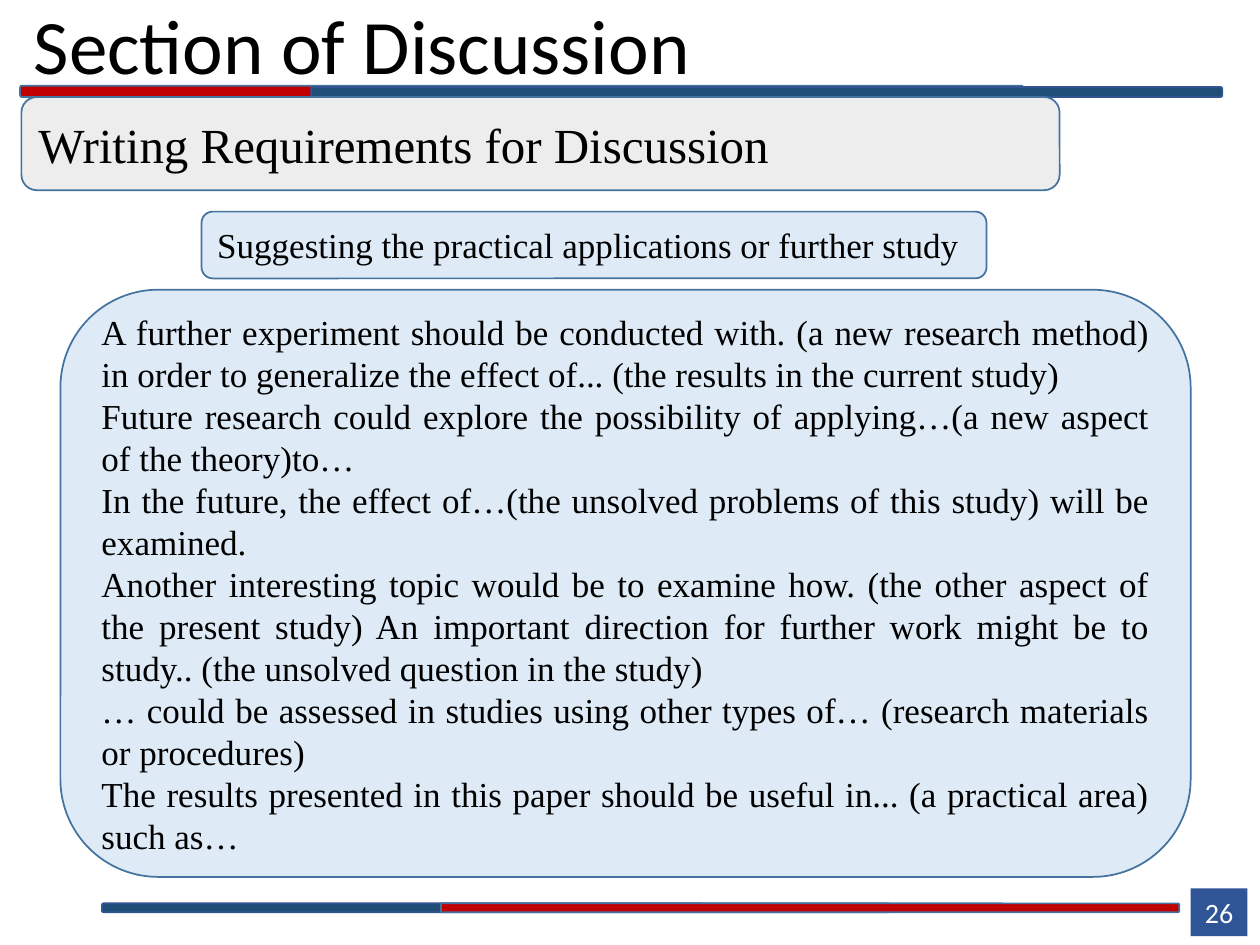
"""Build the slide on writing requirements for the Discussion section."""
from pptx import Presentation
from pptx.dml.color import RGBColor
from pptx.enum.shapes import MSO_SHAPE
from pptx.enum.text import MSO_ANCHOR, PP_ALIGN
from pptx.util import Inches, Pt

RECT, ROUNDED = MSO_SHAPE.RECTANGLE, MSO_SHAPE.ROUNDED_RECTANGLE
LEFT, CENTER, JUSTIFY = PP_ALIGN.LEFT, PP_ALIGN.CENTER, PP_ALIGN.JUSTIFY
MIDDLE = MSO_ANCHOR.MIDDLE
BLACK = RGBColor(0x00, 0x00, 0x00)
WHITE = RGBColor(0xFF, 0xFF, 0xFF)
RED = RGBColor(0xC0, 0x00, 0x00)
NAVY = RGBColor(0x1F, 0x4E, 0x79)
BADGE_BLUE = RGBColor(0x2F, 0x55, 0x97)
EDGE_BLUE = RGBColor(0x43, 0x73, 0x9E)
BAR_EDGE = RGBColor(0x32, 0x54, 0x91)
PALE_GRAY = RGBColor(0xED, 0xED, 0xED)
PALE_BLUE = RGBColor(0xDE, 0xEB, 0xF7)
SANS, SERIF = "Calibri", "Times New Roman"


def add_panel(shapes, preset, box, fill, edge=None):
    panel = shapes.add_shape(preset, *map(Inches, box))
    panel.shadow.inherit = False
    panel.fill.solid()
    panel.fill.fore_color.rgb = fill
    if edge is None:
        panel.line.fill.background()
    else:
        panel.line.color.rgb = edge
        panel.line.width = Pt(1)
    return panel


def write(shape, lines, font, size, color=BLACK, align=LEFT):
    frame = shape.text_frame
    frame.word_wrap = True
    frame.vertical_anchor = MIDDLE
    for index, line in enumerate(lines):
        paragraph = frame.add_paragraph() if index else frame.paragraphs[0]
        paragraph.alignment = align
        run = paragraph.add_run()
        run.text = line
        run.font.name = font
        run.font.size = Pt(size)
        run.font.color.rgb = color


prs = Presentation()
prs.slide_width, prs.slide_height = Inches(10), Inches(7.5)
slide = prs.slides.add_slide(prs.slide_layouts[6])

title = slide.shapes.add_textbox(Inches(0.17), Inches(-0.06), Inches(9.15), Inches(0.91))
write(title, ["Section of Discussion"], SANS, 44)
title.text_frame.paragraphs[0].line_spacing = 0.9

page_number = add_panel(slide.shapes, RECT, (9.45, 7.05, 0.45, 0.38), BADGE_BLUE)
write(page_number, ["26"], SANS, 16, WHITE, CENTER)
page_number.text_frame.margin_left = page_number.text_frame.margin_right = Inches(0.05)

header_bars = [
    ((0.16, 0.68, 7.96, 0.09), RED, EDGE_BLUE),
    ((2.47, 0.69, 7.23, 0.08), NAVY, BAR_EDGE),
]
footer_bars = [
    ((0.81, 7.17, 6.25, 0.07), NAVY, BAR_EDGE),
    ((3.5, 7.17, 5.86, 0.07), RED, EDGE_BLUE),
]
for bars in (header_bars, footer_bars):
    rule = slide.shapes.add_group_shape()
    for box, fill, edge in bars:
        add_panel(rule.shapes, ROUNDED, box, fill, edge)

suggestions = [
    "A further experiment should be conducted with. (a new research method) in order to "
    "generalize the effect of... (the results in the current study)",
    "Future research could explore the possibility of applying…(a new aspect of the theory)to…",
    "In the future, the effect of…(the unsolved problems of this study) will be examined.",
    "Another interesting topic would be to examine how. (the other aspect of the present study) "
    "An important direction for further work might be to study.. "
    "(the unsolved question in the study)",
    "… could be assessed in studies using other types of… (research materials or procedures)",
    "The results presented in this paper should be useful in... (a practical area) such as…",
]
panels = [
    ((0.17, 0.77, 8.24, 0.74), PALE_GRAY, ["Writing Requirements for Discussion"], 28, LEFT),
    ((0.48, 2.3, 8.97, 4.66), PALE_BLUE, suggestions, 20, JUSTIFY),
    ((1.6, 1.68, 6.23, 0.53), PALE_BLUE,
     ["Suggesting the practical applications or further study"], 20, JUSTIFY),
]
for box, fill, lines, size, align in panels:
    panel = add_panel(slide.shapes, ROUNDED, box, fill, EDGE_BLUE)
    write(panel, lines, SERIF, size, align=align)

prs.save("out.pptx")
